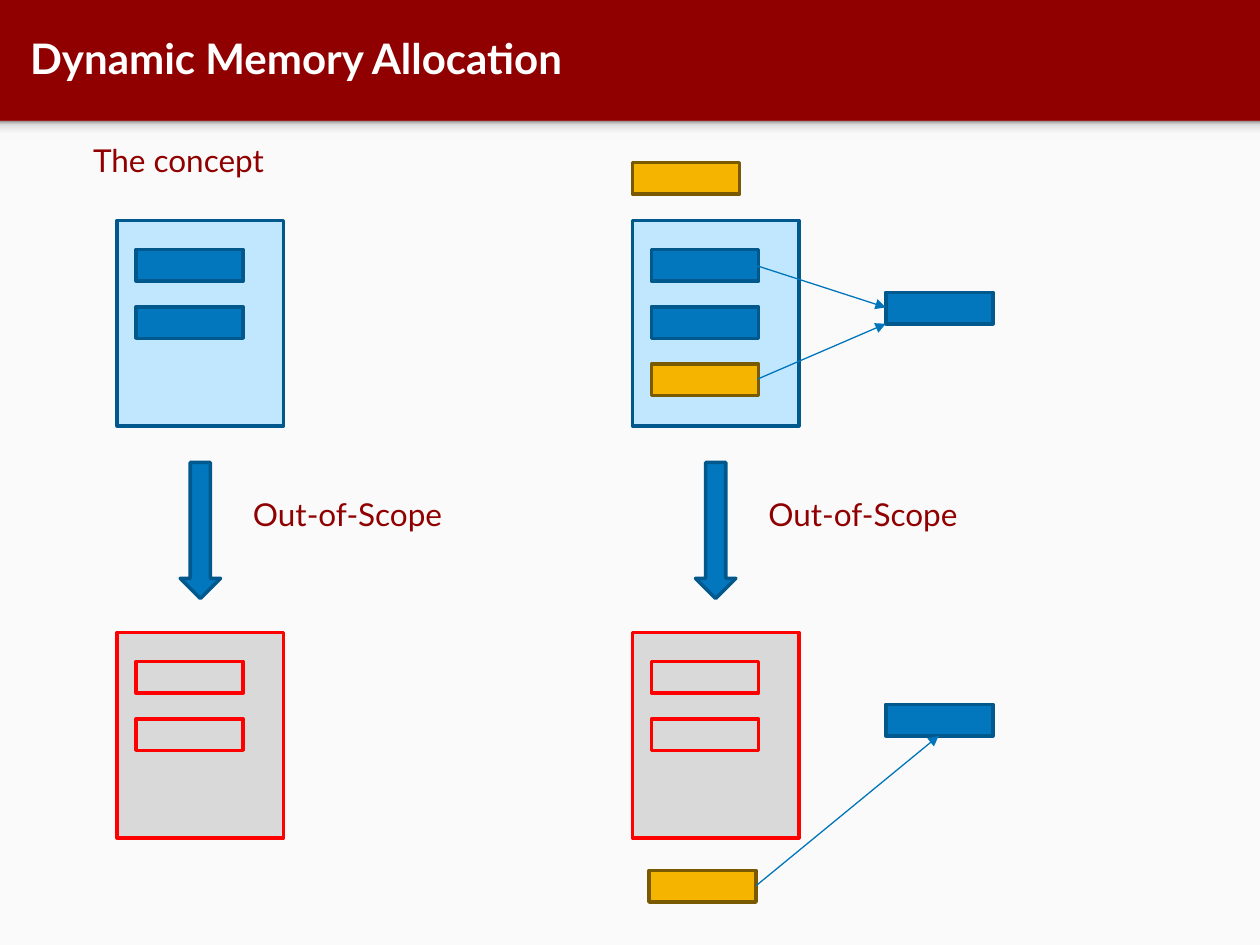
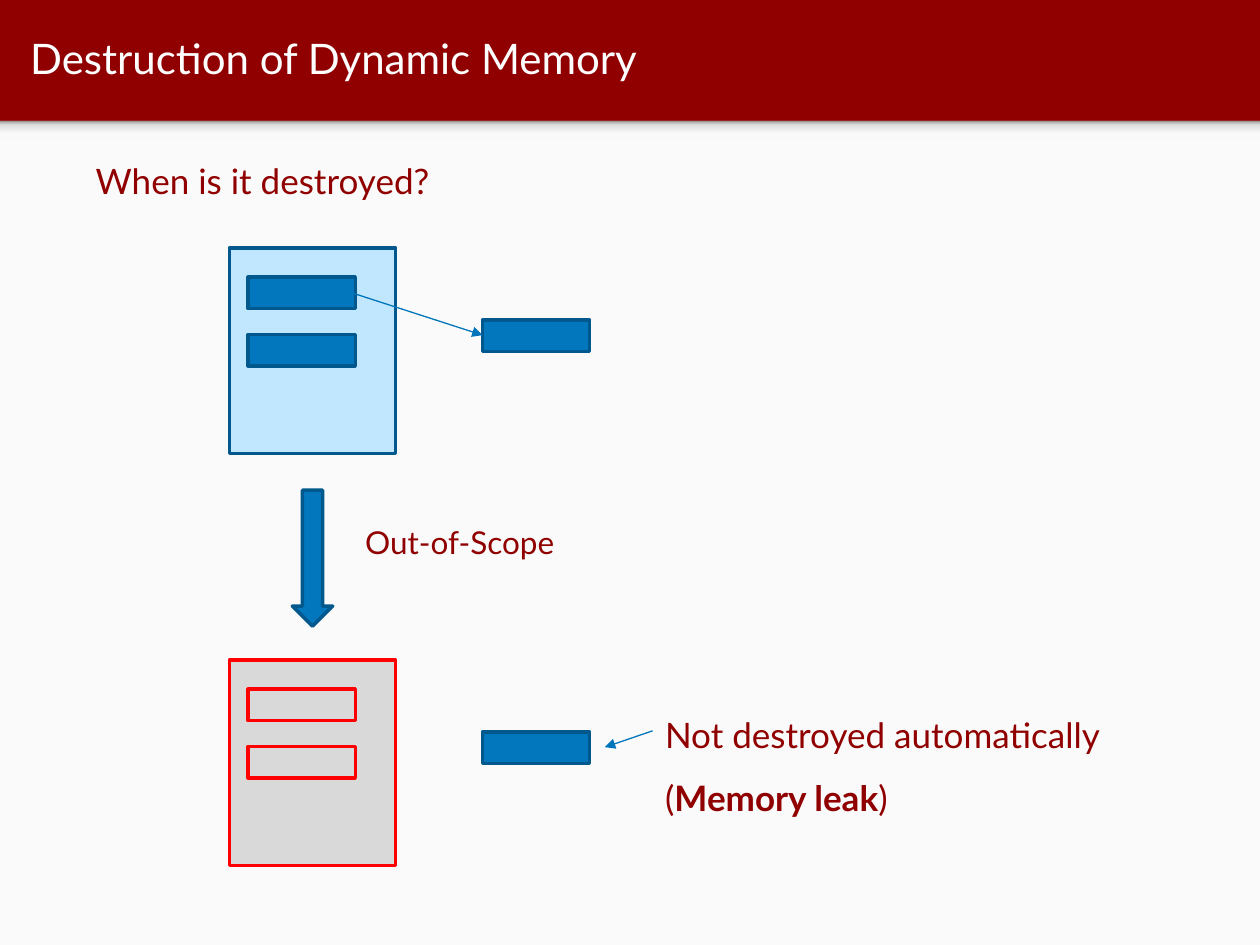
from dataclasses import dataclass

from lxml import etree
from pptx import Presentation
from pptx.dml.color import RGBColor
from pptx.enum import shapes, text
from pptx.oxml import ns, parse_xml
from pptx.util import Inches, Pt


@dataclass(frozen=True)
class Theme:
    font: str = "Lato"
    red: str = "900000"
    paper: str = "FAFAFA"
    white: str = "FFFFFF"
    wire: str = "0075BB"
    head: int = 24
    large: int = 20
    small: int = 18
    edge: float = 2
    thin: float = 0.75
    shade: tuple = ((0, "F9F9F9"), (36, "F9F9F9"), (80, "DEDEDE"), (100, "999999"))


@dataclass(frozen=True)
class Look:
    fill: str
    line: str | None = None


@dataclass(frozen=True)
class Note:
    x: float
    y: float
    w: float
    h: float
    lines: tuple
    size: int
    space: float = 1.0


THEME = Theme()
SHEET = Look(THEME.paper)
FRAME = Look("C0E7FE", "01588C")
BLUE = Look("0277BD", "01588C")
GOLD = Look("F4B400", "7A5A00")
DEAD = Look("D9D9D9", "FF0000")
RECT = shapes.MSO_SHAPE.RECTANGLE
DOWN = shapes.MSO_SHAPE.DOWN_ARROW
DROP = 3.27
CELL = (0.85, 0.25)


def put(item, vals: dict) -> None:
    for key, val in vals.items():
        setattr(item, key, val)


def style(run, size: int, tone: str, bold: bool = False) -> None:
    put(run.font, {"name": THEME.font, "size": Pt(size), "bold": bold})
    run.font.color.rgb = RGBColor.from_string(tone)


def block(slide, box: tuple, look: Look, kind=RECT):
    shape = slide.shapes.add_shape(kind, *map(Inches, box))
    shape.shadow.inherit = False
    shape.fill.solid()
    shape.fill.fore_color.rgb = RGBColor.from_string(look.fill)
    if look.line:
        shape.line.color.rgb = RGBColor.from_string(look.line)
        shape.line.width = Pt(THEME.edge)
    else:
        shape.line.fill.background()
    return shape


def cell(slide, x: float, y: float, look: Look) -> None:
    block(slide, (x, y, *CELL), look)


def wire(slide, start: tuple, end: tuple) -> None:
    line = slide.shapes.add_connector(
        shapes.MSO_CONNECTOR.STRAIGHT, *map(Inches, start + end))
    line.line.color.rgb = RGBColor.from_string(THEME.wire)
    line.line.width = Pt(THEME.thin)
    props = line._element.spPr
    etree.SubElement(props.find(ns.qn("a:ln")), ns.qn("a:tailEnd"), type="triangle")
    etree.SubElement(props, ns.qn("a:effectLst"))


def write(slide, note: Note) -> None:
    box = slide.shapes.add_textbox(*map(Inches, (note.x, note.y, note.w, note.h)))
    frame = box.text_frame
    put(frame, {"word_wrap": False,
                "auto_size": text.MSO_AUTO_SIZE.SHAPE_TO_FIT_TEXT})
    for i, line in enumerate(note.lines):
        para = frame.add_paragraph() if i else frame.paragraphs[0]
        para.line_spacing = note.space
        for words, bold in line:
            run = para.add_run()
            run.text = words
            style(run, note.size, THEME.red, bold)


def start(deck, words: str, bold: bool = False):
    slide = deck.slides.add_slide(deck.slide_layouts[5])
    title = slide.shapes.title
    put(title, dict(zip(("left", "top", "width", "height"),
                        map(Inches, (0.11, 0.02, 9.65, 0.88)))))
    frame = title.text_frame
    put(frame, {"auto_size": text.MSO_AUTO_SIZE.NONE, "word_wrap": True,
                "vertical_anchor": text.MSO_ANCHOR.MIDDLE})
    put(frame, {f"margin_{side}": Inches(0.13)
                for side in ("left", "top", "right", "bottom")})
    para = frame.paragraphs[0]
    para.alignment = text.PP_ALIGN.LEFT
    run = para.add_run()
    run.text = words
    style(run, THEME.head, THEME.white, bold)
    block(slide, (0, 0.96, 10, 6.54), SHEET)
    band = block(slide, (0, 0.96, 10, 0.16), SHEET)
    stops = "".join(f'<a:gs pos="{at * 1000}"><a:srgbClr val="{tone}"/></a:gs>'
                    for at, tone in THEME.shade)
    shade = parse_xml(f'<a:gradFill {ns.nsdecls("a")}><a:gsLst>{stops}</a:gsLst>'
                      '<a:lin ang="16200000" scaled="0"/></a:gradFill>')
    props = band._element.spPr
    props.replace(props.find(ns.qn("a:solidFill")), shade)
    return slide


def scope(slide, x: float, y: float) -> None:
    for top, frame, look in ((y, FRAME, BLUE), (y + DROP, DEAD, DEAD)):
        block(slide, (x, top, 1.32, 1.63), frame)
        for row in range(2):
            cell(slide, x + 0.15, top + 0.23 + row * 0.455, look)
    block(slide, (x + 0.5, y + 1.92, 0.32, 1.08), BLUE, DOWN)
    write(slide, Note(x + 0.98, y + 2.13, 1.73, 0.4,
                      ((("Out-of-Scope", False),),), THEME.small))


def heap(slide, x: float, y: float) -> None:
    for top in (y, y + DROP):
        cell(slide, x + 2.01, top + 0.57, BLUE)
    wire(slide, (x + 0.99, y + 0.36), (x + 2.01, y + 0.69))


def concept(deck) -> None:
    slide = start(deck, "Dynamic Memory Allocation", True)
    write(slide, Note(0.64, 1.07, 1.61, 0.4,
                      ((("The concept", False),),), THEME.small))
    for x in (0.93, 5.02):
        scope(slide, x, 1.75)
    heap(slide, 5.02, 1.75)
    for x, y in ((5.02, 1.29), (5.17, 2.89), (5.15, 6.91)):
        cell(slide, x, y, GOLD)
    wire(slide, (6.01, 3.01), (7.03, 2.57))
    wire(slide, (6, 7.03), (7.45, 5.84))


def leak(deck) -> None:
    slide = start(deck, "Destruction of Dynamic Memory")
    write(slide, Note(0.66, 1.05, 2.92, 0.61,
                      ((("When is it destroyed?", False),),), THEME.large, 1.5))
    scope(slide, 1.82, 1.97)
    heap(slide, 1.82, 1.97)
    write(slide, Note(5.18, 5.45, 3.83, 1.11, (
        (("Not destroyed automatically", False),),
        (("(", False), ("Memory leak", True), (")", False)),
    ), THEME.large, 1.5))
    wire(slide, (5.18, 5.8), (4.8, 5.93))


def main() -> None:
    deck = Presentation()
    put(deck, {"slide_width": Inches(10), "slide_height": Inches(7.5)})
    fill = deck.slide_master.background.fill
    fill.solid()
    fill.fore_color.rgb = RGBColor.from_string(THEME.red)
    concept(deck)
    leak(deck)
    deck.save("out.pptx")


main()
